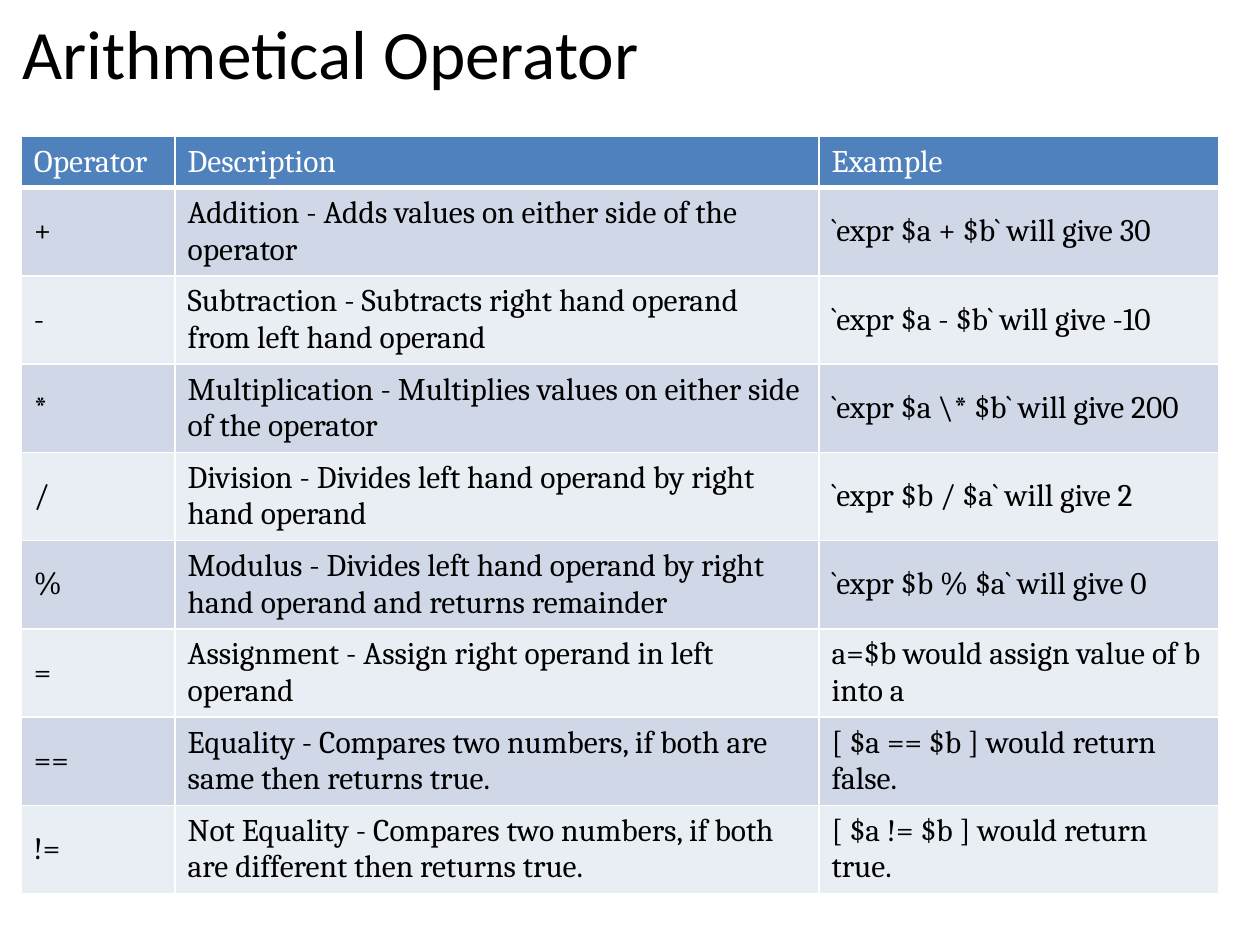
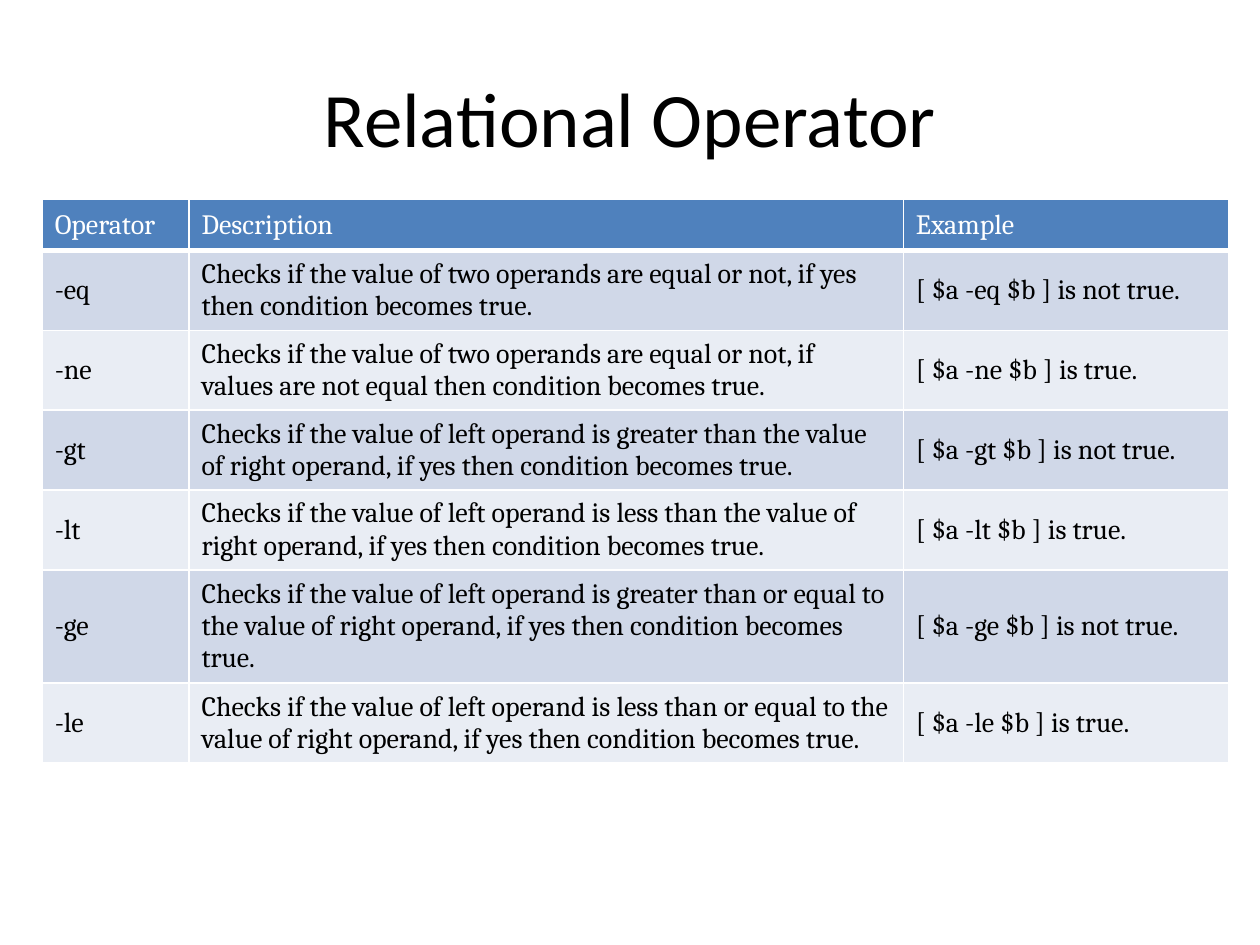
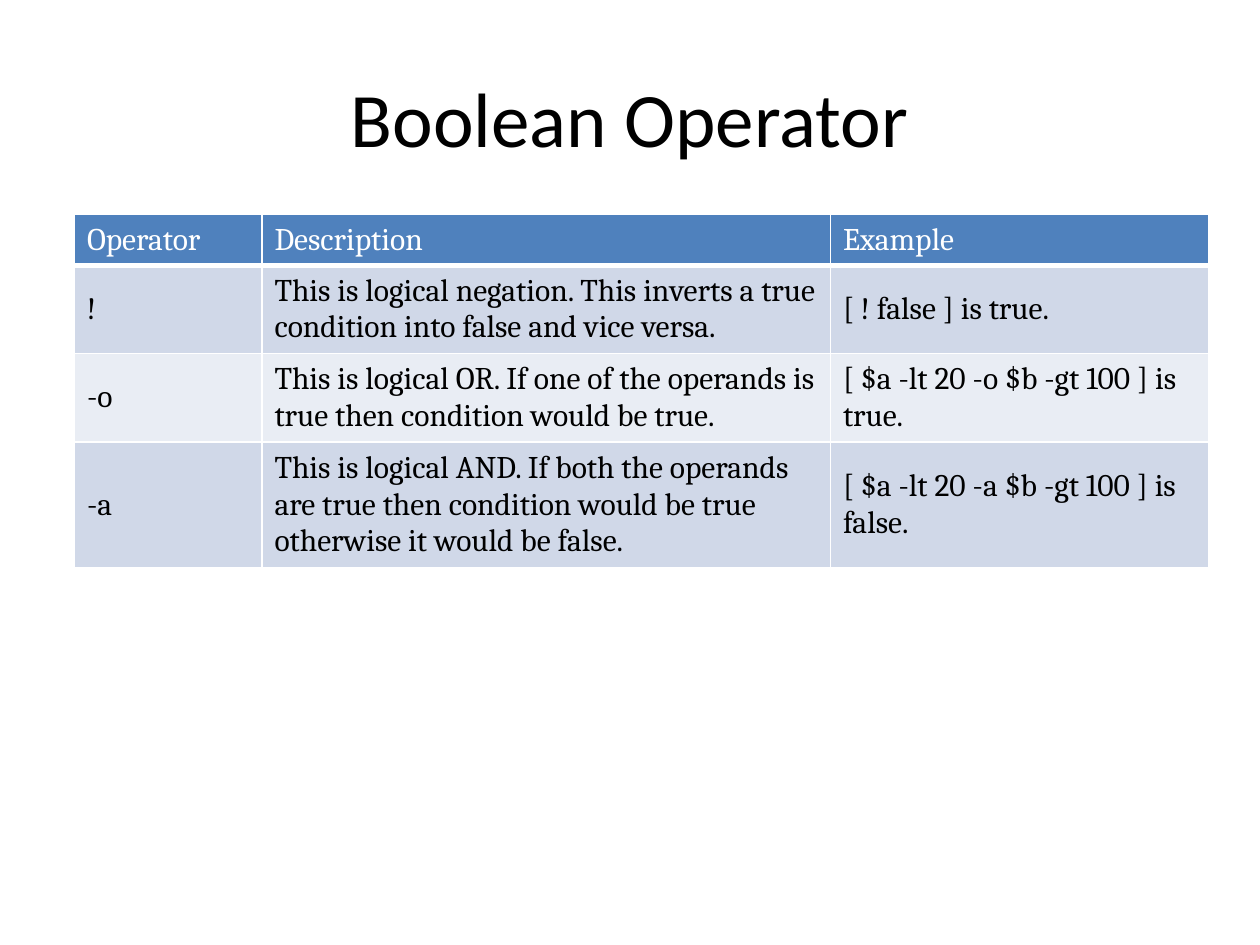
from dataclasses import dataclass

from lxml.etree import SubElement
from pptx import Presentation
from pptx.dml.color import RGBColor
from pptx.enum.text import MSO_ANCHOR as Anchor, PP_ALIGN as Align
from pptx.oxml.ns import qn
from pptx.util import Cm, Pt

# Shared style
TITLE_FONT, TABLE_FONT = "Calibri", "Cambria"
BLACK, WHITE = "000000", "FFFFFF"
HEADER_FILL = "4F81BD"
BAND_FILLS = ("D0D8E8", "E9EDF4")
HEADINGS = ("Operator", "Description", "Example")
ROW_HEIGHT = 1.03


@dataclass(frozen=True)
class Title:
    text: str
    left: float = 1.27
    top: float = 0.76
    width: float = 22.86
    height: float = 3.18
    size: float = 44
    align: Align = Align.CENTER


@dataclass(frozen=True)
class OperatorTable:
    left: float
    top: float
    column_widths: tuple[float, ...]
    size: float
    operators: tuple[tuple[str, str, str], ...]


@dataclass(frozen=True)
class OperatorSlide:
    title: Title
    table: OperatorTable


# Content
ARITHMETIC = (
    ("+", "Addition - Adds values on either side of the operator",
     "`expr $a + $b` will give 30"),
    ("-", "Subtraction - Subtracts right hand operand from left hand operand",
     "`expr $a - $b` will give -10"),
    ("*", "Multiplication - Multiplies values on either side of the operator",
     "`expr $a \\* $b` will give 200"),
    ("/", "Division - Divides left hand operand by right hand operand",
     "`expr $b / $a` will give 2"),
    ("%", "Modulus - Divides left hand operand by right hand operand and returns remainder",
     "`expr $b % $a` will give 0"),
    ("=", "Assignment - Assign right operand in left operand",
     "a=$b would assign value of b into a"),
    ("==", "Equality - Compares two numbers, if both are same then returns true.",
     "[ $a == $b ] would return false."),
    ("!=", "Not Equality - Compares two numbers, if both are different then returns true.",
     "[ $a != $b ] would return true."),
)

EQUALITY_CHECKS = (
    ("-eq", "yes", "not true"),
    ("-ne", "values are not equal", "true"),
)
ORDER_CHECKS = (
    ("-gt", "greater than", "not true"),
    ("-lt", "less than", "true"),
    ("-ge", "greater than or equal to", "not true"),
    ("-le", "less than or equal to", "true"),
)
RELATIONAL = tuple(
    (operator,
     f"Checks if the value of two operands are equal or not, if {case} "
     "then condition becomes true.",
     f"[ $a {operator} $b ] is {result}.")
    for operator, case, result in EQUALITY_CHECKS
) + tuple(
    (operator,
     f"Checks if the value of left operand is {relation} the value of right operand, "
     "if yes then condition becomes true.",
     f"[ $a {operator} $b ] is {result}.")
    for operator, relation, result in ORDER_CHECKS
)

BOOLEAN = (
    ("!", "This is logical negation. This inverts a true condition into false and vice versa.",
     "[ ! false ] is true."),
    ("-o", "This is logical OR. If one of the operands is true then condition would be true.",
     "[ $a -lt 20 -o $b -gt 100 ] is true."),
    ("-a", "This is logical AND. If both the operands are true then condition would be true "
     "otherwise it would be false.",
     "[ $a -lt 20 -a $b -gt 100 ] is false."),
)

SLIDES = (
    OperatorSlide(
        Title("Arithmetical Operator", 0.2, 0.2, 22.86, 1.7, 39.6, Align.LEFT),
        OperatorTable(0.43, 2.75, (3.1, 12.98, 8.05), 18, ARITHMETIC),
    ),
    OperatorSlide(
        Title("Relational Operator"),
        OperatorTable(0.85, 4.02, (2.96, 14.4, 6.55), 16, RELATIONAL),
    ),
    OperatorSlide(
        Title("Boolean Operator"),
        OperatorTable(1.5, 4.32, (3.78, 11.46, 7.62), 18, BOOLEAN),
    ),
)


# Drawing
def rgb(color: str) -> RGBColor:
    return RGBColor.from_string(color)


def write(frame, text: str, font: str, size: float, color: str, align: Align) -> None:
    frame.text = text
    paragraph = frame.paragraphs[0]
    paragraph.alignment = align
    for run in paragraph.runs:
        run.font.name = font
        run.font.size = Pt(size)
        run.font.color.rgb = rgb(color)


def draw_title(slide, title: Title) -> None:
    box = slide.shapes.add_textbox(
        Cm(title.left), Cm(title.top), Cm(title.width), Cm(title.height))
    frame = box.text_frame
    frame.word_wrap = True
    frame.vertical_anchor = Anchor.MIDDLE
    write(frame, title.text, TITLE_FONT, title.size, BLACK, title.align)


def add_borders(cell, bottom: float) -> None:
    properties = cell._tc.get_or_add_tcPr()
    for side, width in (("L", 1), ("R", 1), ("T", 1), ("B", bottom)):
        line = SubElement(properties, qn(f"a:ln{side}"), w=str(Pt(width)))
        fill = SubElement(line, qn("a:solidFill"))
        SubElement(fill, qn("a:srgbClr"), val=WHITE)


def draw_table(slide, spec_table: OperatorTable) -> None:
    rows = (HEADINGS, *spec_table.operators)
    widths = spec_table.column_widths
    grid = slide.shapes.add_table(
        len(rows), len(widths), Cm(spec_table.left), Cm(spec_table.top),
        Cm(sum(widths)), Cm(ROW_HEIGHT * len(rows))).table
    grid.horz_banding = False
    for column, width in zip(grid.columns, widths):
        column.width = Cm(width)
    for index, texts in enumerate(rows):
        grid.rows[index].height = Cm(ROW_HEIGHT)
        is_header = index == 0
        fill = HEADER_FILL if is_header else BAND_FILLS[(index - 1) % 2]
        color = WHITE if is_header else BLACK
        for cell, text in zip(grid.rows[index].cells, texts):
            add_borders(cell, bottom=3 if is_header else 1)
            cell.fill.solid()
            cell.fill.fore_color.rgb = rgb(fill)
            cell.vertical_anchor = Anchor.MIDDLE
            write(cell.text_frame, text, TABLE_FONT, spec_table.size, color, Align.LEFT)
            cell.text_frame.paragraphs[0].runs[0].font.bold = False


def main() -> None:
    deck = Presentation()
    deck.slide_width, deck.slide_height = Cm(25.4), Cm(19.05)
    blank = deck.slide_layouts[6]
    for content in SLIDES:
        slide = deck.slides.add_slide(blank)
        draw_title(slide, content.title)
        draw_table(slide, content.table)
    deck.save("out.pptx")


if __name__ == "__main__":
    main()
